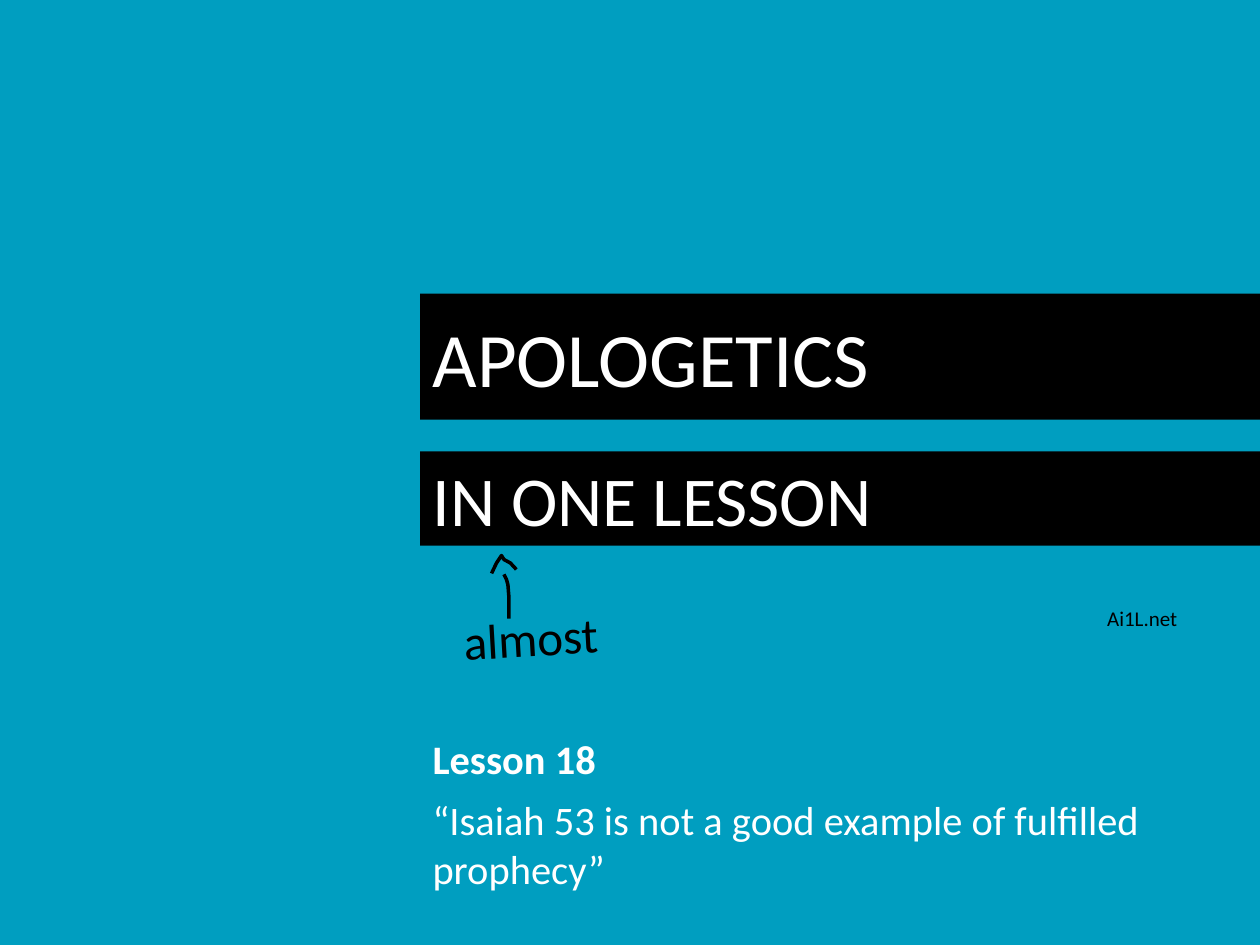
from pptx import Presentation
from pptx.dml.color import RGBColor
from pptx.enum.text import MSO_ANCHOR as Anchor, MSO_AUTO_SIZE as AutoSize, PP_ALIGN as Align
from pptx.util import Cm, Pt

TEAL = RGBColor(0x00, 0x9E, 0xC0)
BLACK = RGBColor(0x00, 0x00, 0x00)
WHITE = RGBColor(0xFF, 0xFF, 0xFF)
FONT = "Calibri"

COLUMN_LEFT = 8.47
COLUMN_WIDTH = 16.93

# Stroke points in cm from the top left corner of the note
ARROW_TIP = [(1.32, 0.28), (1.2, 0.15), (1.07, 0.08), (1.02, 0), (0.92, 0.15), (0.82, 0.36)]
ARROW_SHAFT = [(1.07, 0.38), (1.12, 0.48), (1.15, 0.59), (1.17, 0.84), (1.17, 1.27)]


def write(para, text, size, color, bold=False):
    para.alignment = Align.LEFT
    span = para.add_run()
    span.text = text
    font = span.font
    font.name, font.size, font.bold = FONT, Pt(size), bold
    font.color.rgb = color


def add_text_box(shapes, left, top, width, height):
    box = shapes.add_textbox(Cm(left), Cm(top), Cm(width), Cm(height))
    box.text_frame.word_wrap = True
    return box


def fill_band(holder, top, height, text, size):
    """Turn a placeholder into a black band that runs to the right edge."""
    holder.left, holder.top = Cm(COLUMN_LEFT), Cm(top)
    holder.width, holder.height = Cm(COLUMN_WIDTH), Cm(height)
    holder.fill.solid()
    holder.fill.fore_color.rgb = BLACK
    frame = holder.text_frame
    frame.auto_size = AutoSize.NONE
    frame.vertical_anchor = Anchor.MIDDLE
    frame.margin_top = frame.margin_bottom = 0
    para = frame.paragraphs[0]
    para.space_before = Pt(0)
    write(para, text, size, WHITE)


def draw_stroke(shapes, left, top, points):
    corners = [(Cm(left + x), Cm(top + y)) for x, y in points]
    builder = shapes.build_freeform(*corners[0])
    builder.add_line_segments(corners[1:], close=False)
    stroke = builder.convert_to_shape()
    stroke.shadow.inherit = False
    stroke.fill.background()
    stroke.line.color.rgb = BLACK
    stroke.line.width = Pt(2)


def add_handwritten_note(page, left, top):
    """Group the tilted word with the arrow that points up from it."""
    shapes = page.shapes.add_group_shape().shapes
    word = add_text_box(shapes, left, top + 0.92, 3.25, 1.45)
    word.rotation = 356.7
    write(word.text_frame.paragraphs[0], "almost", 28, BLACK)
    for points in (ARROW_TIP, ARROW_SHAFT):
        draw_stroke(shapes, left, top, points)


def add_web_address(page, left, top):
    box = add_text_box(page.shapes, left, top, 3.33, 0.89)
    write(box.text_frame.paragraphs[0], "Ai1L.net", 12, BLACK)


def add_lesson(page, left, top):
    frame = add_text_box(page.shapes, left, top, 16.87, 3.15).text_frame
    write(frame.paragraphs[0], "Lesson 18", 23.1, WHITE, bold=True)
    para = frame.add_paragraph()
    para.space_before = Pt(7)
    write(para, "“Isaiah 53 is not a good example of fulfilled prophecy”", 23.1, WHITE)


def build_title_page(deck):
    page = deck.slides.add_slide(deck.slide_layouts[0])
    page.background.fill.solid()
    page.background.fill.fore_color.rgb = TEAL
    fill_band(page.shapes.title, 5.92, 2.54, "APOLOGETICS", 44)
    fill_band(page.placeholders[1], 9.1, 1.9, "IN ONE LESSON", 40)
    add_handwritten_note(page, 9.09, 11.2)
    add_web_address(page, 22.07, 12.09)
    add_lesson(page, COLUMN_LEFT, 14.68)


def main():
    deck = Presentation()
    deck.slide_width, deck.slide_height = Cm(25.4), Cm(19.05)
    build_title_page(deck)
    deck.save("out.pptx")


if __name__ == "__main__":
    main()
